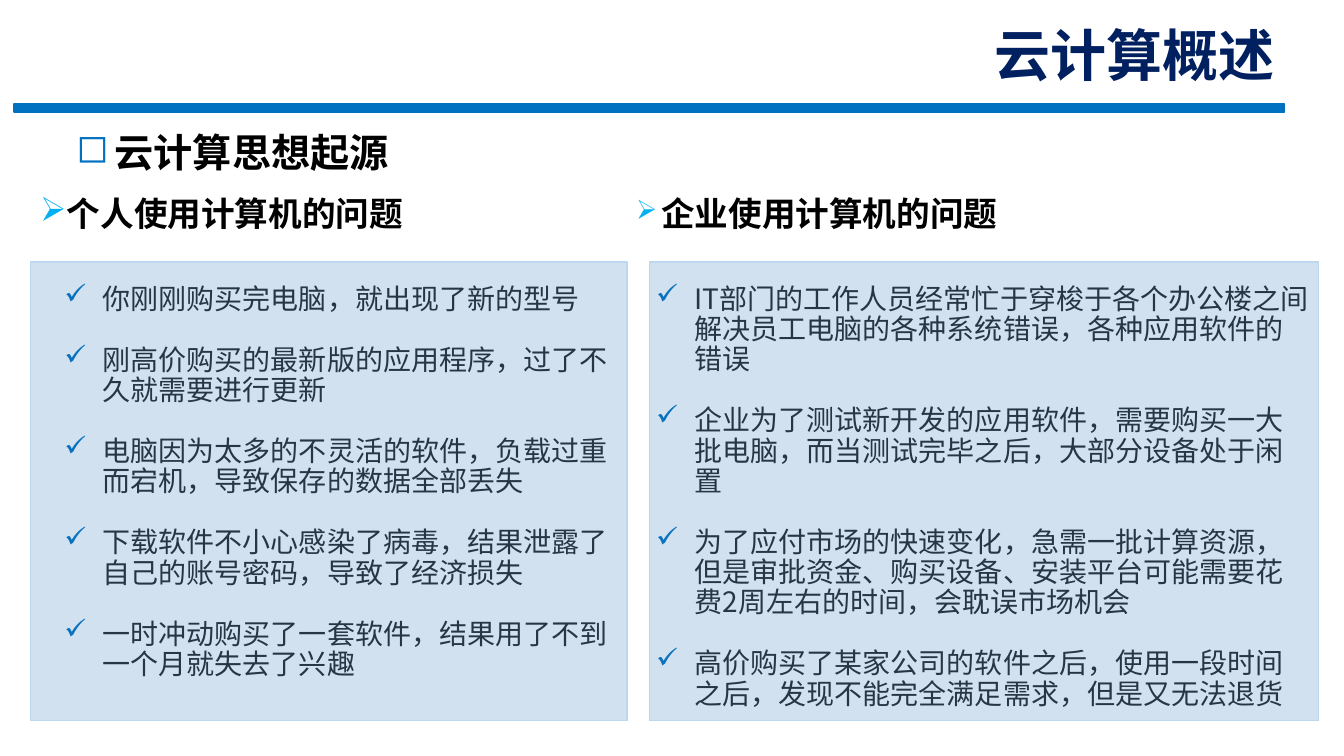
"""Builds the slide on the origins of cloud computing."""
from lxml.etree import SubElement
from pptx import Presentation
from pptx.dml.color import RGBColor
from pptx.enum.shapes import MSO_SHAPE
from pptx.enum.text import MSO_ANCHOR, MSO_AUTO_SIZE, PP_ALIGN
from pptx.oxml.ns import qn
from pptx.util import Inches, Pt

NAVY = RGBColor(0x00, 0x20, 0x60)
BLUE = RGBColor(0x00, 0x70, 0xC0)
SKY = RGBColor(0x00, 0xB0, 0xF0)
PANEL_FILL = RGBColor(0x2E, 0x75, 0xB6)
PANEL_LINE = RGBColor(0xBD, 0xD7, 0xEE)
BLACK = RGBColor(0x00, 0x00, 0x00)
DARK = RGBColor(0x26, 0x26, 0x26)
BODY_FONT = "Noto Sans CJK SC"
PANEL_OPACITY = 21

TITLE = "云计算概述"
SECTION = "云计算思想起源"
COLUMNS = [
    {
        "heading": "个人使用计算机的问题",
        "heading_at": (0.3, 1.91, 4.74, 0.46),
        "bullet_size": 100,
        "list_at": (0.54, 2.78, 5.67, 4.24),
        "panel_at": (0.3, 2.6, 5.92, 4.55),
        "items": [
            "你刚刚购买完电脑，就出现了新的型号",
            "刚高价购买的最新版的应用程序，过了不久就需要进行更新",
            "电脑因为太多的不灵活的软件，负载过重而宕机，导致保存的数据全部丢失",
            "下载软件不小心感染了病毒，结果泄露了自己的账号密码，导致了经济损失",
            "一时冲动购买了一套软件，结果用了不到一个月就失去了兴趣",
        ],
    },
    {
        "heading": "企业使用计算机的问题",
        "heading_at": (6.21, 1.91, 5.59, 0.46),
        "bullet_size": 80,
        "list_at": (6.41, 2.78, 6.67, 4.36),
        "panel_at": (6.44, 2.6, 6.64, 4.55),
        "items": [
            "IT部门的工作人员经常忙于穿梭于各个办公楼之间解决员工电脑的各种系统错误，各种应用软件的错误",
            "企业为了测试新开发的应用软件，需要购买一大批电脑，而当测试完毕之后，大部分设备处于闲置",
            "为了应付市场的快速变化，急需一批计算资源，但是审批资金、购买设备、安装平台可能需要花费2周左右的时间，会耽误市场机会",
            "高价购买了某家公司的软件之后，使用一段时间之后，发现不能完全满足需求，但是又无法退货",
        ],
    },
]


def style_span(span, size, color, bold=False, font=BODY_FONT):
    span.font.size = Pt(size)
    span.font.bold = bold
    span.font.color.rgb = color
    span.font.name = font
    SubElement(span.font._element, qn("a:ea"), typeface=BODY_FONT)


def add_bullet(para, mark, color, indent, size=100):
    properties = para._p.get_or_add_pPr()
    properties.set("marL", str(Inches(indent)))
    properties.set("indent", str(-Inches(indent)))
    bullet_color = SubElement(properties, qn("a:buClr"))
    SubElement(bullet_color, qn("a:srgbClr"), val=str(color))
    SubElement(properties, qn("a:buSzPct"), val=str(size * 1000))
    SubElement(properties, qn("a:buChar"), char=mark)


def add_text(page, at, lines, size, color, bold, mark, mark_color, indent, mark_size=100):
    box = page.shapes.add_textbox(*map(Inches, at))
    frame = box.text_frame
    frame.word_wrap = True
    frame.text = "\n".join(lines)
    for para in frame.paragraphs:
        add_bullet(para, mark, mark_color, indent, mark_size)
        style_span(para.runs[0], size, color, bold)
    return frame


def add_box(page, at, fill, line):
    box = page.shapes.add_shape(MSO_SHAPE.RECTANGLE, *map(Inches, at))
    box.shadow.inherit = False
    box.fill.solid()
    box.fill.fore_color.rgb = fill
    box.line.color.rgb = line
    box.line.width = Pt(1)
    return box


def add_title(page):
    title = page.shapes.title
    title.left, title.top, title.width, title.height = map(Inches, (6.41, 0.34, 6.33, 0.58))
    frame = title.text_frame
    frame.text = TITLE
    frame.auto_size = MSO_AUTO_SIZE.NONE
    frame.vertical_anchor = MSO_ANCHOR.BOTTOM
    frame.paragraphs[0].alignment = PP_ALIGN.RIGHT
    style_span(frame.paragraphs[0].runs[0], 40, NAVY, True, "Lato")


def add_column(page, column):
    heading = add_text(page, column["heading_at"], [column["heading"]], 24, BLACK, True,
                       "➢", SKY, 0.25, column["bullet_size"])
    items = add_text(page, column["list_at"], column["items"], 20, DARK, False, "✓", BLUE, 0.38)
    for para in heading.paragraphs + items.paragraphs:
        para.line_spacing = 0.9
        para.space_before = Pt(10)
    for para in items.paragraphs:
        para.space_after = Pt(12)
    panel = add_box(page, column["panel_at"], PANEL_FILL, PANEL_LINE)
    fill_color = panel.fill._xPr.find(qn("a:solidFill"))[0]
    SubElement(fill_color, qn("a:alpha"), val=str(PANEL_OPACITY * 1000))


def main():
    deck = Presentation()
    deck.slide_width, deck.slide_height = Inches(13.33), Inches(7.5)
    page = deck.slides.add_slide(deck.slide_layouts[5])
    add_title(page)
    add_box(page, (0.14, 1.03, 12.6, 0.08), BLUE, BLUE)
    section = add_text(page, (0.66, 1.22, 3.34, 0.57), [SECTION], 28, BLACK, True, "◻", BLUE, 0.38)
    section.word_wrap = False
    for column in COLUMNS:
        add_column(page, column)
    deck.save("out.pptx")


if __name__ == "__main__":
    main()
